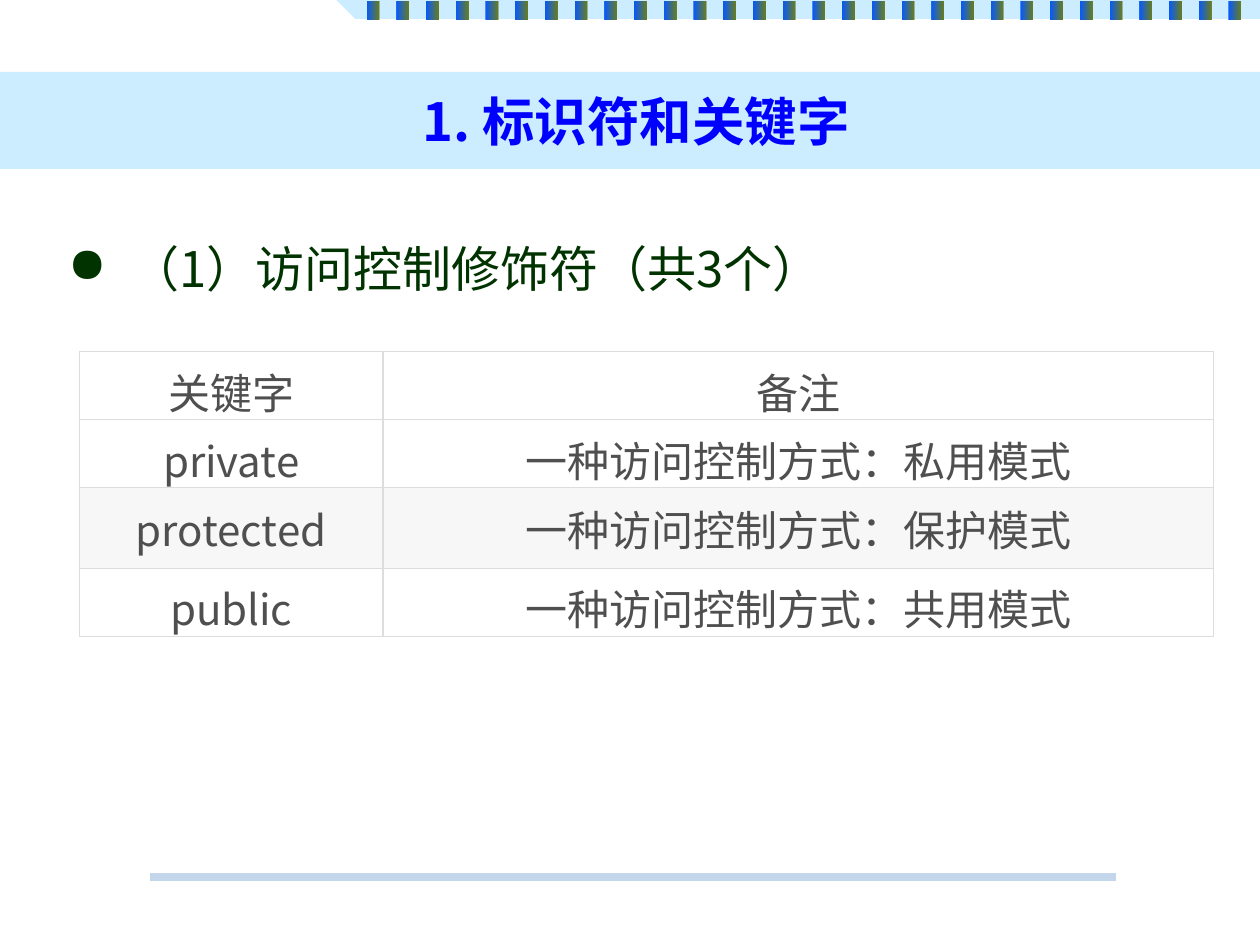
"""Build the slide on access-control keywords with its title band and table."""
from lxml.etree import SubElement
from pptx import Presentation
from pptx.dml.color import RGBColor
from pptx.enum.shapes import MSO_CONNECTOR, MSO_SHAPE
from pptx.enum.text import MSO_ANCHOR, MSO_AUTO_SIZE, PP_ALIGN
from pptx.oxml.ns import qn
from pptx.util import Inches, Pt

TITLE = " 1. 标识符和关键字"
HEADING = "（1）访问控制修饰符（共3个）"
ROWS = [
    ("关键字", "备注"),
    ("private", "一种访问控制方式：私用模式"),
    ("protected", "一种访问控制方式：保护模式"),
    ("public", "一种访问控制方式：共用模式"),
]
COLUMN_WIDTHS = (2.41, 6.59)
ROW_HEIGHTS = (0.42, 0.42, 0.64, 0.42)
SHADED_ROW = 2
STRIPE_COUNT, FIRST_STRIPE, LAST_STRIPE = 30, 2.91, 9.75

FONT = "Noto Sans CJK SC"
PALE_BLUE = RGBColor(0xCC, 0xEC, 0xFF)
STRIPE_COLORS = (RGBColor(0x05, 0x58, 0xFF), RGBColor(0x66, 0x7C, 0x22))
RULE_BLUE = RGBColor(0xC4, 0xD6, 0xEB)
WHITE = RGBColor(0xFF, 0xFF, 0xFF)
SHADE = RGBColor(0xF7, 0xF7, 0xF7)
BORDER = RGBColor(0xDD, 0xDD, 0xDD)
TITLE_FORMAT = {"size": Pt(30), "bold": True, "color": RGBColor(0, 0, 0xFF)}
HEADING_FORMAT = {"size": Pt(28), "bold": False, "color": RGBColor(0, 0x33, 0)}
CELL_FORMAT = {"size": Pt(24), "bold": False, "color": RGBColor(0x4F, 0x4F, 0x4F)}


def write(frame, text, style, align):
    para = frame.paragraphs[0]
    para.alignment = align
    span = para.add_run()
    span.text = text
    span.font.name = FONT
    for name, value in style.items():
        if name == "color":
            span.font.color.rgb = value
        else:
            setattr(span.font, name, value)
    SubElement(span.font._element, qn("a:ea"), typeface=FONT)
    return para


def add_stripes(page):
    builder = page.shapes.build_freeform(Inches(2.67), 0)
    corners = [(2.82, 0.15), (10, 0.15), (10, 0)]
    builder.add_line_segments([(Inches(x), Inches(y)) for x, y in corners], close=True)
    band = builder.convert_to_shape()
    band.shadow.inherit = False
    band.fill.solid()
    band.fill.fore_color.rgb = PALE_BLUE
    band.line.fill.background()
    step = (LAST_STRIPE - FIRST_STRIPE) / (STRIPE_COUNT - 1)
    for index in range(STRIPE_COUNT):
        stripe = page.shapes.add_shape(
            MSO_SHAPE.RECTANGLE, Inches(FIRST_STRIPE + index * step),
            Inches(0.01), Inches(0.1), Inches(0.15))
        stripe.shadow.inherit = False
        stripe.line.fill.background()
        stripe.fill.gradient()
        stripe.fill.gradient_angle = 0
        for stop, color in zip(stripe.fill.gradient_stops, STRIPE_COLORS):
            stop.color.rgb = color


def add_rule(page):
    rule = page.shapes.add_connector(
        MSO_CONNECTOR.STRAIGHT, Inches(1.19), Inches(6.96), Inches(8.86), Inches(6.96))
    rule.line.color.rgb = RULE_BLUE
    rule.line.width = Pt(5)
    SubElement(rule._element.spPr, qn("a:effectLst"))


def add_title(page):
    title = page.shapes.title
    title.left, title.top = Inches(0), Inches(0.57)
    title.width, title.height = Inches(10), Inches(0.77)
    title.fill.solid()
    title.fill.fore_color.rgb = PALE_BLUE
    title.text_frame.vertical_anchor = MSO_ANCHOR.MIDDLE
    title.text_frame.auto_size = MSO_AUTO_SIZE.NONE
    write(title.text_frame, TITLE, TITLE_FORMAT, PP_ALIGN.CENTER)


def add_heading(page):
    box = page.shapes.add_textbox(Inches(0.44), Inches(1.84), Inches(9.19), Inches(0.57))
    box.text_frame.word_wrap = True
    box.text_frame.auto_size = MSO_AUTO_SIZE.SHAPE_TO_FIT_TEXT
    para = write(box.text_frame, HEADING, HEADING_FORMAT, PP_ALIGN.LEFT)
    properties = para._p.get_or_add_pPr()
    properties.set("marL", str(Inches(0.5)))
    properties.set("indent", str(-Inches(0.5)))
    SubElement(properties, qn("a:buChar"), char="●")


def format_cell(cell, text, color):
    cell.vertical_anchor = MSO_ANCHOR.MIDDLE
    for side in ("left", "right", "top", "bottom"):
        setattr(cell, f"margin_{side}", Inches(0.07))
    write(cell.text_frame, text, CELL_FORMAT, PP_ALIGN.CENTER)
    properties = cell._tc.get_or_add_tcPr()
    for edge in ("lnL", "lnR", "lnT", "lnB"):
        line = SubElement(properties, qn(f"a:{edge}"), w=str(Pt(0.75)))
        fill = SubElement(line, qn("a:solidFill"))
        SubElement(fill, qn("a:srgbClr"), val=str(BORDER))
    cell.fill.solid()
    cell.fill.fore_color.rgb = color


def add_keywords(page):
    height = Inches(2.29)
    frame = page.shapes.add_table(
        len(ROWS), len(COLUMN_WIDTHS), Inches(0.63), Inches(2.79), Inches(9), height)
    table = frame.table
    table.first_row = table.horz_banding = False
    for column, width in zip(table.columns, COLUMN_WIDTHS):
        column.width = Inches(width)
    for index, (row, size) in enumerate(zip(table.rows, ROW_HEIGHTS)):
        row.height = Inches(size)
        for cell, text in zip(row.cells, ROWS[index]):
            format_cell(cell, text, SHADE if index == SHADED_ROW else WHITE)
    frame.height = height


def main():
    deck = Presentation()
    deck.slide_width, deck.slide_height = Inches(10), Inches(7.5)
    page = deck.slides.add_slide(deck.slide_layouts[5])
    page.background.fill.solid()
    page.background.fill.fore_color.rgb = WHITE
    add_stripes(page)
    add_rule(page)
    add_title(page)
    add_heading(page)
    add_keywords(page)
    deck.save("out.pptx")


if __name__ == "__main__":
    main()
